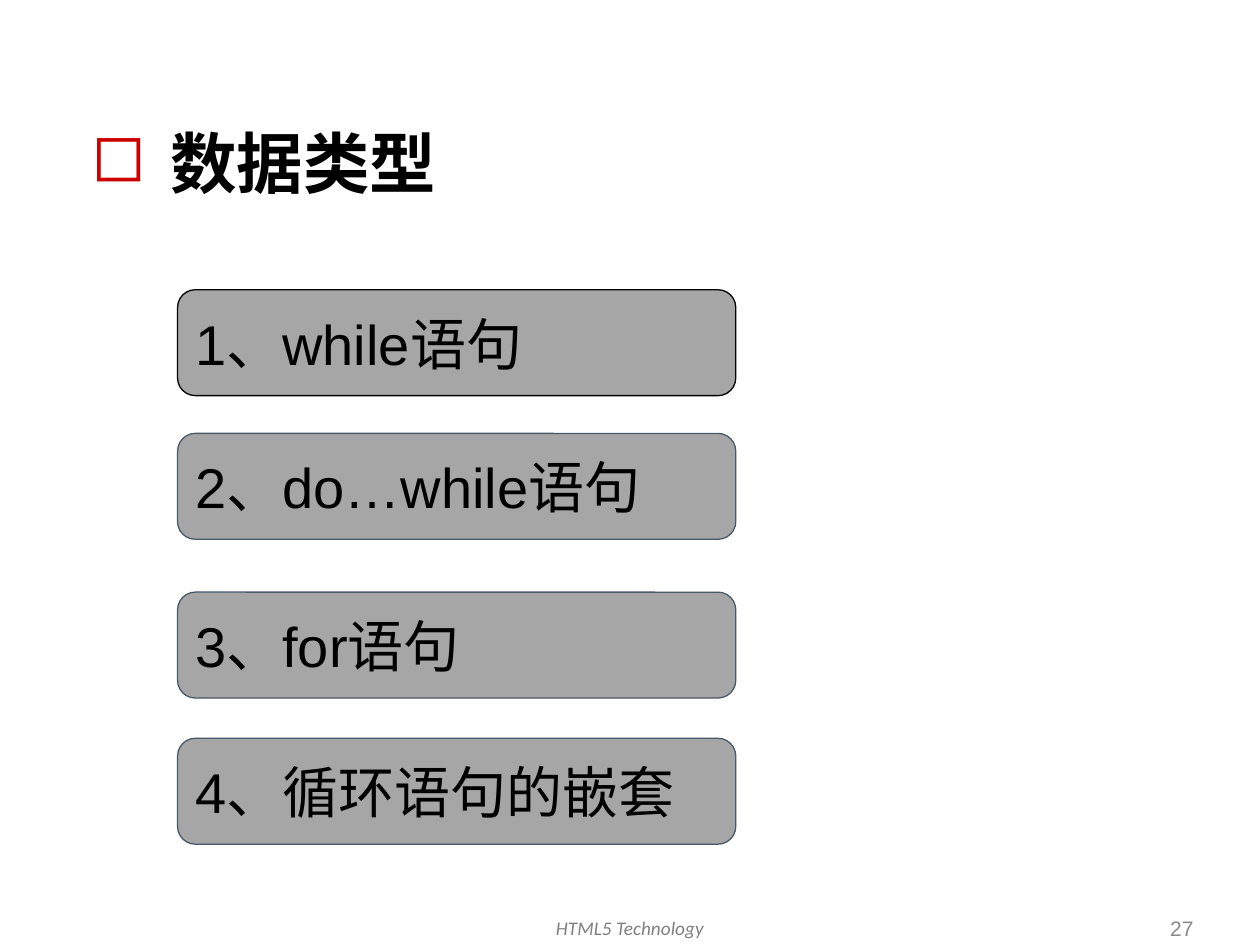
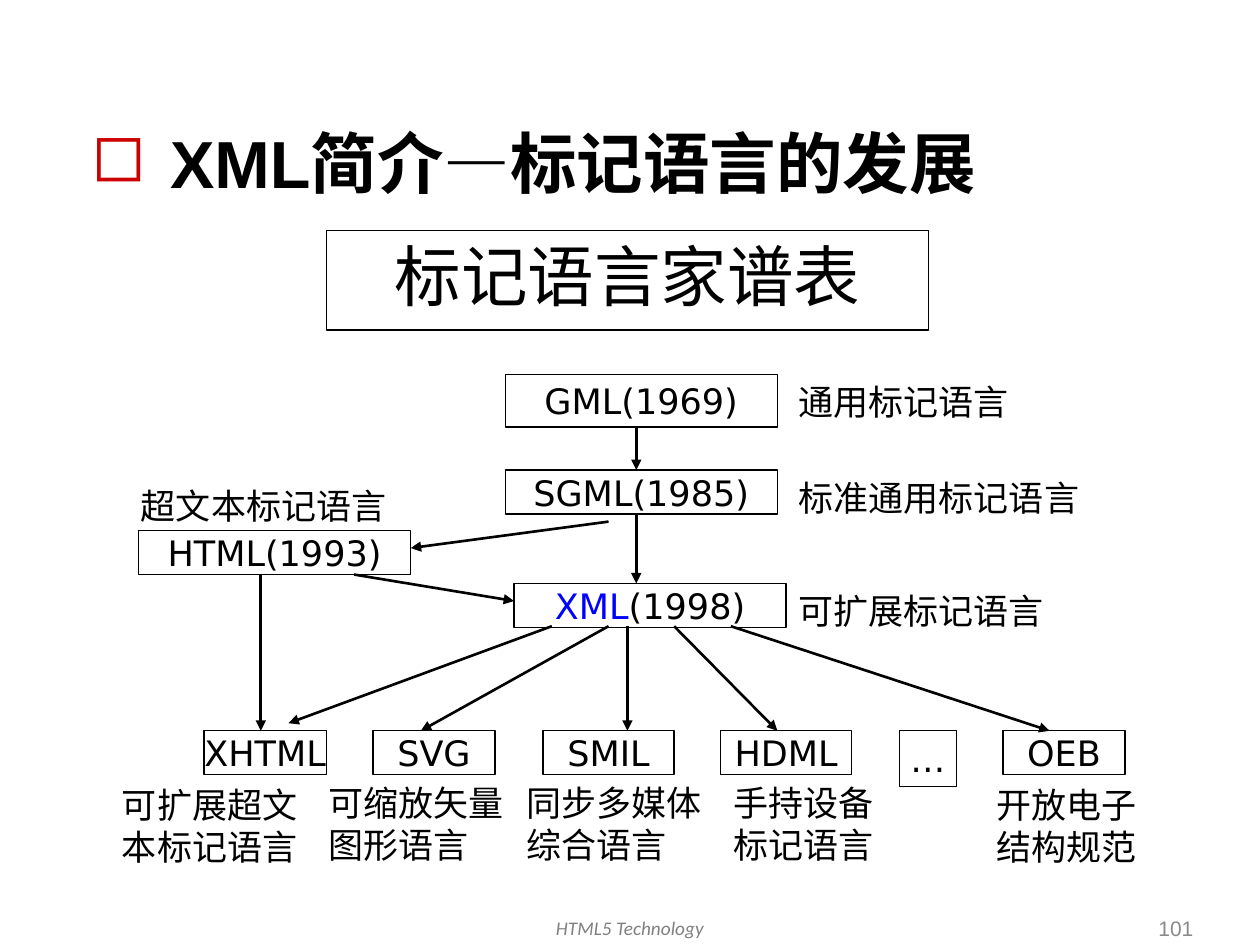
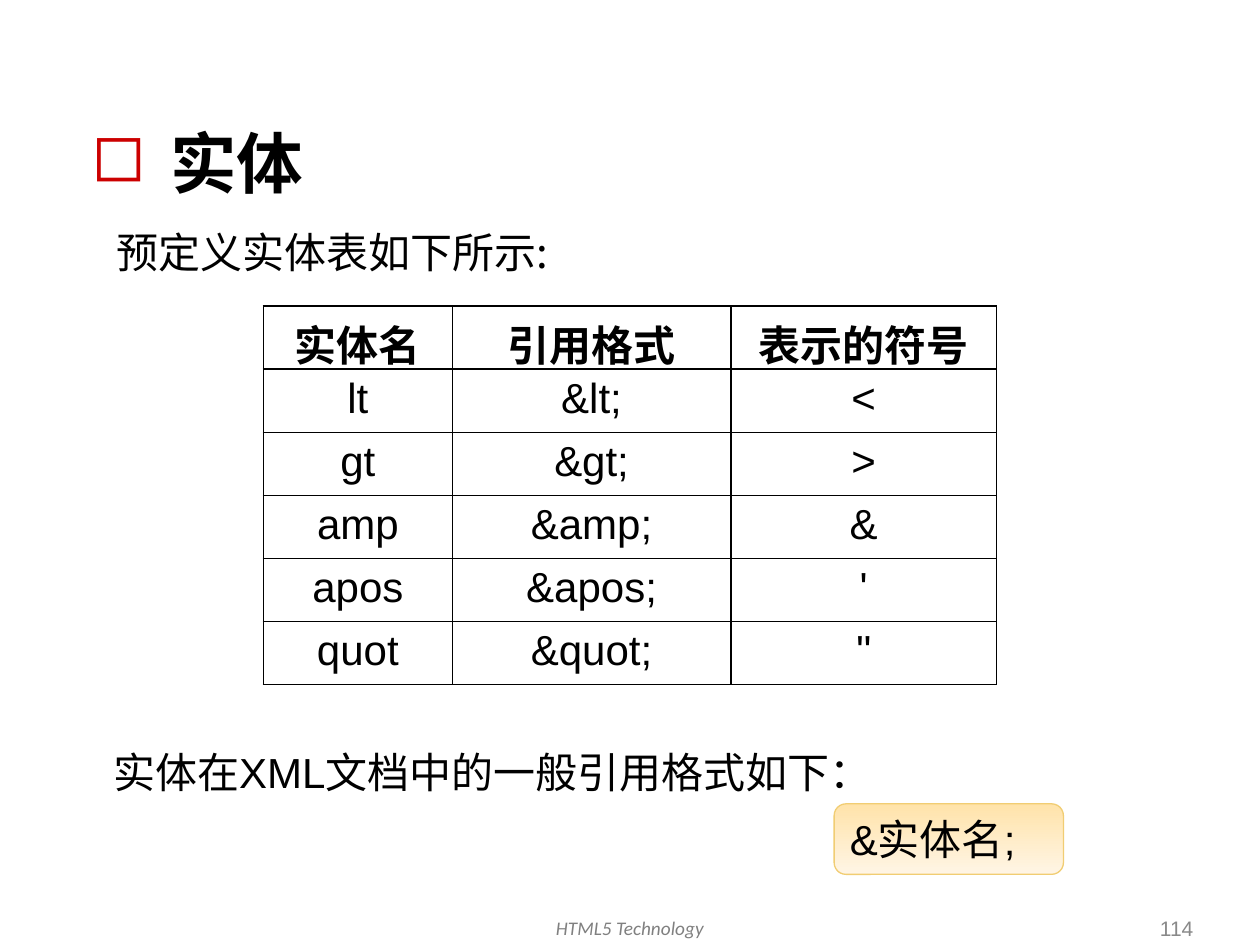
from dataclasses import dataclass

from lxml import etree
from pptx import Presentation
from pptx.dml.color import RGBColor
from pptx.enum.shapes import MSO_CONNECTOR as Connector, MSO_SHAPE as Shape
from pptx.enum.text import MSO_ANCHOR as Anchor, PP_ALIGN as Align
from pptx.oxml.ns import qn
from pptx.util import Inches, Pt


@dataclass(frozen=True)
class Theme:
    ink: str = "000000"
    accent: str = "CC0000"
    highlight: str = "0000FF"
    footer: str = "808080"
    number: str = "898989"
    panel: str = "A6A6A6"
    panel_line: str = "48596A"
    callout_top: str = "FFE3AA"
    callout_bottom: str = "FFF5E5"
    callout_line: str = "F1CD73"
    latin: str = "Arial"
    chinese: str = "Noto Sans CJK SC"
    diagram: str = "DejaVu Sans"
    label: str = "Times New Roman"
    footer_font: str = "Calibri"
    title_size: int = 38
    item_size: int = 32
    body_size: int = 24
    diagram_size: int = 20
    number_size: int = 12
    footer_size: int = 11


theme = Theme()


def write_text(frame, runs, size, font=theme.latin, color=theme.ink, align=Align.LEFT, **styles):
    """Fill the first paragraph; runs is a string or (text, overrides) pairs."""
    paragraph = frame.paragraphs[0]
    paragraph.alignment = align
    for text, overrides in [(runs, {})] if isinstance(runs, str) else runs:
        run = paragraph.add_run()
        run.text = text
        values = {"name": font, "size": Pt(size), **styles, **overrides}
        run.font.color.rgb = RGBColor.from_string(values.pop("color", color))
        for name, value in values.items():
            setattr(run.font, name, value)
        run.font._element.find(qn("a:latin")).addnext(
            run.font._element.makeelement(qn("a:ea"), {"typeface": theme.chinese}))
    return paragraph


def add_box(slide, place, runs, size, kind=None, fill=None, line=theme.ink,
            anchor=Anchor.MIDDLE, wrap=True, **text_format):
    """Add a preset shape with text, or a plain text box when kind is None."""
    area = [Inches(length) for length in place]
    if kind is None:
        box = slide.shapes.add_textbox(*area)
    else:
        box = slide.shapes.add_shape(kind, *area)
        box.shadow.inherit = False
        box.line.color.rgb = RGBColor.from_string(line)
        box.line.width = Pt(0.75)
        if fill:
            box.fill.solid()
            box.fill.fore_color.rgb = RGBColor.from_string(fill)
        else:
            box.fill.background()
    box.text_frame.word_wrap = wrap
    box.text_frame.vertical_anchor = anchor
    write_text(box.text_frame, runs, size, **text_format)
    return box


presentation = Presentation()
presentation.slide_width, presentation.slide_height = Inches(10), Inches(7.5)

# Shared title, footer and page number
slides = []
for title_text, number in [("数据类型", "27"), ("XML简介—标记语言的发展", "101"), ("实体", "114")]:
    slide = presentation.slides.add_slide(presentation.slide_layouts[5])
    title = slide.shapes.title
    title.left, title.top = Inches(0.63), Inches(0.92)
    title.width, title.height = Inches(8.75), Inches(0.73)
    title.text_frame.vertical_anchor = Anchor.MIDDLE
    properties = title.text_frame.paragraphs[0]._p.get_or_add_pPr()
    properties.set("marL", str(Inches(0.62)))
    properties.set("indent", str(-Inches(0.62)))
    bullet_color = etree.SubElement(properties, qn("a:buClr"))
    etree.SubElement(bullet_color, qn("a:srgbClr"), val=theme.accent)
    etree.SubElement(properties, qn("a:buChar"), char="◻")
    write_text(title.text_frame, title_text, theme.title_size, bold=True)
    add_box(slide, (3.22, 7.22, 3.56, 0.33), "HTML5 Technology", theme.footer_size,
            anchor=Anchor.TOP, font=theme.footer_font, color=theme.footer,
            align=Align.CENTER, italic=True)
    add_box(slide, (7.32, 7.22, 2.25, 0.29), number, theme.number_size,
            color=theme.number, align=Align.RIGHT)
    slides.append(slide)
loop_slide, family_slide, entity_slide = slides

# Loop statements
chinese = {"name": theme.chinese}
statements = [
    (2.3, "1、while", "语句", theme.ink),
    (3.44, "2、do…while", "语句", theme.panel_line),
    (4.7, "3、for", "语句", theme.panel_line),
    (5.86, "4、", "循环语句的嵌套", theme.panel_line),
]
for top, keyword, description, line in statements:
    add_box(loop_slide, (1.41, top, 4.43, 0.84), [(keyword, {}), (description, chinese)],
            theme.item_size, kind=Shape.ROUNDED_RECTANGLE, fill=theme.panel, line=line)

# Family tree of markup languages
heading = add_box(family_slide, (2.59, 1.83, 4.78, 0.79), "标记语言家谱表",
                  theme.title_size, kind=Shape.RECTANGLE, align=Align.CENTER)
heading.text_frame.paragraphs[0].line_spacing = 0.9

languages = [
    (4.01, 2.97, 2.16, 0.42, "GML(1969)"),
    (4.01, 3.73, 2.16, 0.35, "SGML(1985)"),
    (4.08, 4.63, 2.16, 0.35, [("XML", {"color": theme.highlight}), ("(1998)", {})]),
    (1.1, 4.21, 2.16, 0.35, "HTML(1993)"),
    (1.62, 5.8, 0.97, 0.35, "XHTML"),
    (2.96, 5.8, 0.97, 0.35, "SVG"),
    (4.31, 5.8, 1.04, 0.35, "SMIL"),
    (5.72, 5.8, 1.04, 0.35, "HDML"),
    (7.14, 5.8, 0.45, 0.44, "…"),
    (7.96, 5.8, 0.97, 0.35, "OEB"),
]
for *place, name in languages:
    add_box(family_slide, place, name, theme.diagram_size, kind=Shape.RECTANGLE,
            wrap=False, font=theme.diagram, align=Align.CENTER)

arrows = [
    (5.05, 3.38, 5.05, 3.73), (4.83, 4.14, 3.26, 4.35), (5.05, 4.07, 5.05, 4.63),
    (2.81, 4.56, 4.08, 4.77), (2.07, 4.56, 2.07, 5.8), (4.83, 4.97, 3.34, 5.8),
    (4.38, 4.97, 2.29, 5.74), (4.98, 4.97, 4.98, 5.8), (5.35, 4.97, 6.17, 5.8),
    (5.8, 4.97, 8.33, 5.8),
]
for ends in arrows:
    arrow = family_slide.shapes.add_connector(
        Connector.STRAIGHT, *[Inches(length) for length in ends])
    arrow.line.color.rgb = RGBColor.from_string(theme.ink)
    arrow.line.width = Pt(1.5)
    etree.SubElement(arrow.line._get_or_add_ln(), qn("a:tailEnd"), type="triangle")
    etree.SubElement(arrow._element.spPr, qn("a:effectLst"))

labels = [
    (6.24, 2.97, 2.01, 0.43, "通用标记语言"),
    (6.24, 3.73, 2.61, 0.43, "标准通用标记语言"),
    (6.24, 4.63, 2.31, 0.43, "可扩展标记语言"),
    (1.02, 3.8, 2.61, 0.43, "超文本标记语言"),
    (0.87, 6.17, 1.8, 0.77, "可扩展超文本标记语言"),
    (2.51, 6.15, 1.79, 0.77, "可缩放矢量图形语言"),
    (4.08, 6.15, 1.72, 0.77, "同步多媒体综合语言"),
    (5.72, 6.15, 1.42, 0.77, "手持设备标记语言"),
    (7.81, 6.17, 1.5, 0.77, "开放电子结构规范"),
]
for *place, meaning in labels:
    add_box(family_slide, place, meaning, theme.diagram_size,
            anchor=Anchor.TOP, font=theme.label)

# Predefined entities
add_box(entity_slide, (0.83, 1.74, 3.94, 0.51), "预定义实体表如下所示:",
        theme.body_size, font=theme.chinese)

symbols = {"lt": "<", "gt": ">", "amp": "&", "apos": "'", "quot": '"'}
rows = [("实体名", "引用格式", "表示的符号")]
rows += [(name, f"&{name};", symbol) for name, symbol in symbols.items()]
table = entity_slide.shapes.add_table(
    len(rows), 3, Inches(2.09), Inches(2.43), Inches(5.82), Inches(3)).table
table.first_row = table.horz_banding = False
for column, width in zip(table.columns, (1.5, 2.21, 2.11)):
    column.width = Inches(width)
for row_index, row in enumerate(rows):
    for column_index, text in enumerate(row):
        cell = table.cell(row_index, column_index)
        write_text(cell.text_frame, text, theme.body_size,
                   align=Align.CENTER, bold=row_index == 0)
        cell_properties = cell._tc.get_or_add_tcPr()
        for side in ("a:lnL", "a:lnR", "a:lnT", "a:lnB"):
            border = etree.SubElement(cell_properties, qn(side), w=str(Pt(1)))
            border_fill = etree.SubElement(border, qn("a:solidFill"))
            etree.SubElement(border_fill, qn("a:srgbClr"), val=theme.ink)
        cell.fill.background()

add_box(entity_slide, (0.8, 5.87, 6.33, 0.51),
        [("实体在", chinese), ("XML", {}), ("文档中的一般引用格式如下：", chinese)],
        theme.body_size, wrap=False)
callout = add_box(entity_slide, (6.62, 6.38, 1.82, 0.56), "&实体名;", theme.body_size,
                  kind=Shape.ROUNDED_RECTANGLE, line=theme.callout_line)
callout.fill.gradient()
callout.fill.gradient_angle = 270
for stop, color in zip(callout.fill.gradient_stops, (theme.callout_top, theme.callout_bottom)):
    stop.color.rgb = RGBColor.from_string(color)

presentation.save("out.pptx")
